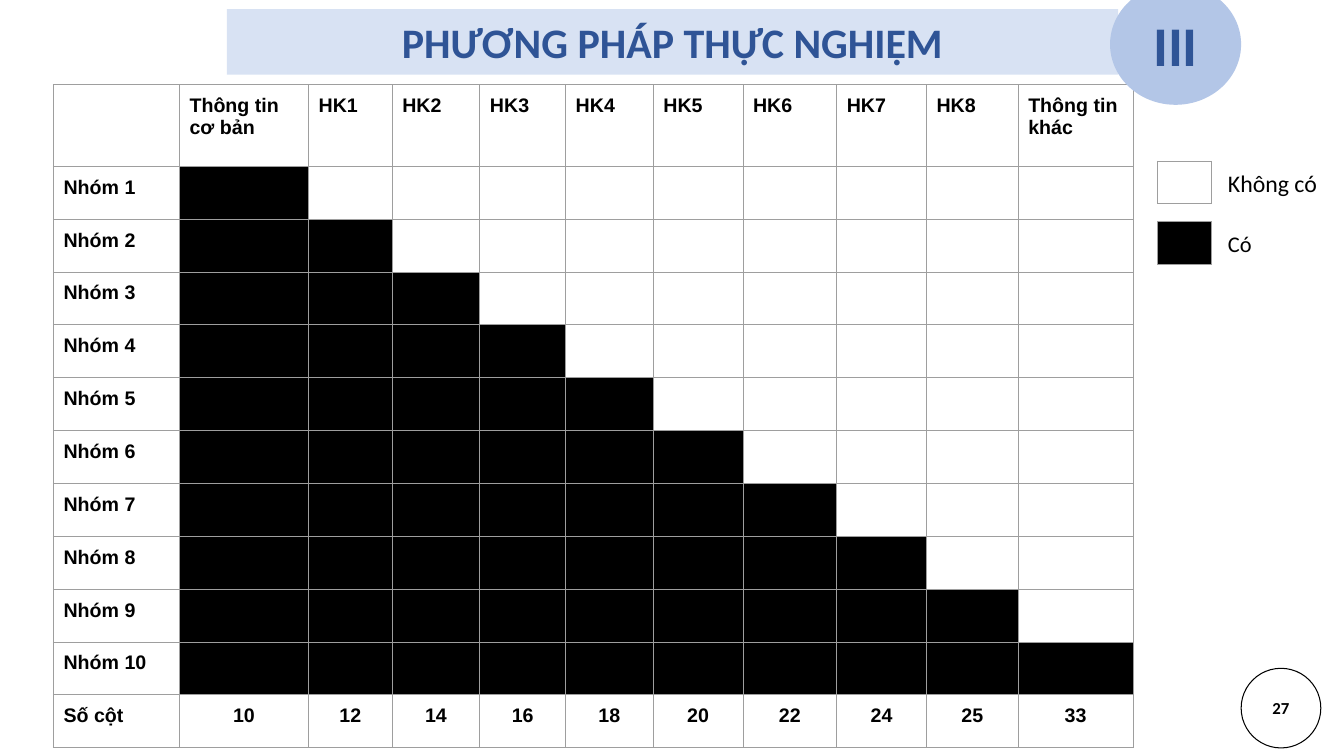
from lxml import etree
from pptx import Presentation
from pptx.dml.color import RGBColor
from pptx.enum.shapes import MSO_SHAPE
from pptx.enum.text import MSO_ANCHOR, PP_ALIGN
from pptx.oxml import parse_xml
from pptx.oxml.ns import nsdecls
from pptx.util import Inches, Pt

OVAL = MSO_SHAPE.OVAL
MIDDLE = MSO_ANCHOR.MIDDLE
LEFT, CENTER = PP_ALIGN.LEFT, PP_ALIGN.CENTER
BLACK, NAVY, GREY = "000000", "2F5496", "9E9E9E"

TITLE = "PHƯƠNG PHÁP THỰC NGHIỆM"
PART = "III"
PAGE = "27"
TERMS = [f"HK{n}" for n in range(1, 9)]
HEAD = ["", "Thông tin cơ bản", *TERMS, "Thông tin khác"]
GROUPS = [f"Nhóm {n}" for n in range(1, 11)]
TOTALS = ["Số cột", "10", "12", "14", "16", "18", "20", "22", "24", "25", "33"]
WIDTHS = [1.25, 1.28, 0.83, 0.87, 0.85, 0.87, 0.89, 0.93, 0.89, 0.91, 1.14]
HEAD_H, GRID_H = 0.81, 6.58
LEGEND = [
    ("Không có", None, 17, 1.6, (12.08, 1.57, 1.25, 0.49)),
    ("Có", BLACK, 16, 2.2, (12.08, 2.18, 1.01, 0.47)),
]


def color(code):
    return RGBColor.from_string(code)


def paint(fill, code):
    if code:
        fill.solid()
        fill.fore_color.rgb = color(code)
    else:
        fill.background()


def write(frame, text, size, face, code=BLACK, bold=True, align=LEFT):
    frame.text = text
    para = frame.paragraphs[0]
    para.alignment = align
    for run in para.runs:
        run.font.size = Pt(size)
        run.font.name = face
        run.font.bold = bold
        run.font.color.rgb = color(code)


def inset(item, side, top):
    item.margin_left = item.margin_right = Inches(side)
    item.margin_top = item.margin_bottom = Inches(top)


def border(cell):
    props = cell._tc.get_or_add_tcPr()
    for side in "LRTB":
        line = parse_xml(f'<a:ln{side} {nsdecls("a")} w="9525"/>')
        fill = etree.SubElement(line, line.tag.replace(f"ln{side}", "solidFill"))
        tone = etree.SubElement(fill, line.tag.replace(f"ln{side}", "srgbClr"))
        tone.set("val", GREY)
        props.append(line)


def grid(slide, left, top, widths, heights):
    box = (left, top, sum(widths), sum(heights))
    shape = slide.shapes.add_table(len(heights), len(widths), *map(Inches, box))
    table = shape.table
    table.first_row = table.horz_banding = False
    for col, width in zip(table.columns, widths):
        col.width = Inches(width)
    for row, height in zip(table.rows, heights):
        row.height = Inches(height)
    for cell in table.iter_cells():
        border(cell)
        paint(cell.fill, None)
    return table


def label(cell, text, align=LEFT):
    if text:
        inset(cell, 0.1, 0.1)
        write(cell.text_frame, text, 14, "Arial", align=align)


def matrix(slide):
    row_h = (GRID_H - HEAD_H) / (len(GROUPS) + 1)
    heights = [HEAD_H] + [row_h] * (len(GROUPS) + 1)
    table = grid(slide, 0.53, 0.84, WIDTHS, heights)
    last = len(heights) - 1
    for col, text in enumerate(HEAD):
        label(table.cell(0, col), text)
    for row, text in enumerate(GROUPS, 1):
        label(table.cell(row, 0), text)
        for col in range(1, row + 1):
            paint(table.cell(row, col).fill, BLACK)
    for col, text in enumerate(TOTALS):
        label(table.cell(last, col), text, CENTER if col else LEFT)


def legend(slide):
    for text, fill, size, top, box in LEGEND:
        table = grid(slide, 11.48, top, [0.54], [0.42])
        paint(table.cell(0, 0).fill, fill)
        frame = slide.shapes.add_textbox(*map(Inches, box)).text_frame
        frame.word_wrap = True
        inset(frame, 0.1, 0.1)
        write(frame, text, size, "Calibri", bold=False)


def badge(slide, box, text, size, code, fill=None, line=None):
    shape = slide.shapes.add_shape(OVAL, *map(Inches, box))
    shape.shadow.inherit = False
    paint(shape.fill, fill)
    paint(shape.line.fill, line)
    if line:
        shape.line.width = Pt(0.75)
    frame = shape.text_frame
    frame.vertical_anchor = MIDDLE
    inset(frame, 0.1, 0.05)
    write(frame, text, size, "Calibri", code, align=CENTER)


def heading(slide):
    title = slide.shapes.title
    title.left, title.top = Inches(2.25), Inches(0.09)
    title.width, title.height = Inches(8.84), Inches(0.65)
    paint(title.fill, "D8E2F3")
    frame = title.text_frame
    frame.vertical_anchor = MIDDLE
    inset(frame, 0.1, 0.05)
    write(frame, TITLE, 30, "Calibri", NAVY, align=CENTER)


def main():
    deck = Presentation()
    deck.slide_width, deck.slide_height = Inches(13.33), Inches(7.5)
    slide = deck.slides.add_slide(deck.slide_layouts[5])
    heading(slide)
    matrix(slide)
    legend(slide)
    badge(slide, (12.31, 6.63, 0.79, 0.79), PAGE, 12, BLACK, line=BLACK)
    badge(slide, (11.01, -0.16, 1.3, 1.2), PART, 40, NAVY, fill="B3C6E7")
    deck.save("out.pptx")


if __name__ == "__main__":
    main()
